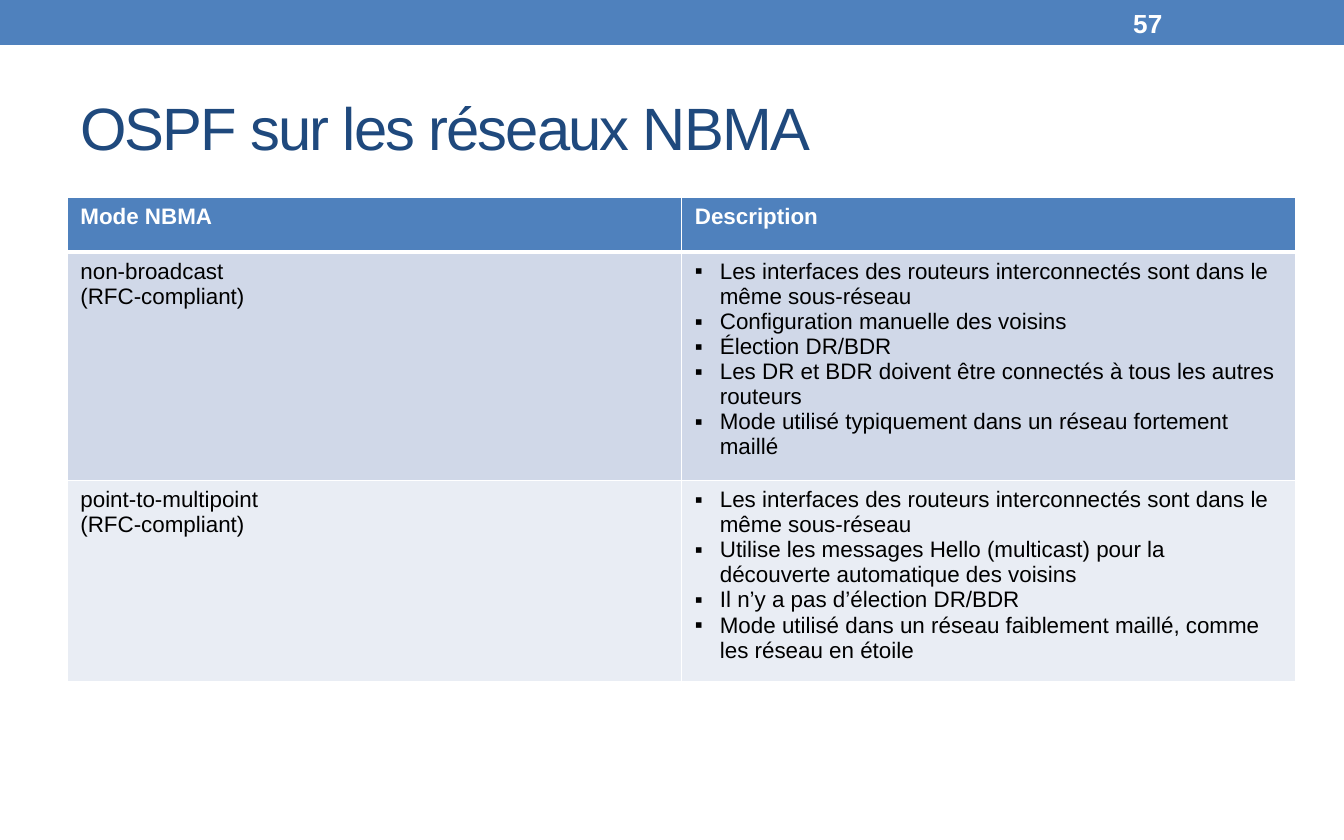
from dataclasses import dataclass

from pptx import Presentation
from pptx.dml.color import RGBColor
from pptx.enum.shapes import MSO_SHAPE as Preset
from pptx.enum.text import MSO_ANCHOR as Anchor
from pptx.oxml import parse_xml
from pptx.oxml.ns import nsdecls
from pptx.util import Pt

EMU_PER_PX = 914400 / 134.4


def px(length: int) -> int:
    return round(length * EMU_PER_PX)


@dataclass(frozen=True)
class Theme:
    font: str = "Arial"
    blue: str = "4F81BD"
    navy: str = "1F497D"
    white: str = "FFFFFF"
    black: str = "000000"
    bands: tuple[str, ...] = ("D0D8E8", "E9EDF4")
    title_size: int = 32
    number_size: int = 14
    table_size: int = 12
    rule: int = 1
    header_rule: int = 3


@dataclass(frozen=True)
class Box:
    left: int
    top: int
    width: int
    height: int

    def emu(self) -> tuple[int, ...]:
        return tuple(px(v) for v in (self.left, self.top, self.width, self.height))


@dataclass(frozen=True)
class Mode:
    names: tuple[str, ...]
    points: tuple[str, ...]


THEME = Theme()
PAGE_WIDTH, PAGE_HEIGHT = 1344, 840
BANNER = Box(0, 0, PAGE_WIDTH, 45)
TITLE = Box(67, 66, 1210, 121)
NUMBER = Box(1120, 3, 157, 40)
ROW_HEIGHT, BULLET_INDENT = 55, 25

HEADERS = ("Mode NBMA", "Description")
SHARED_SUBNET = "Les interfaces des routeurs interconnectés sont dans le même sous-réseau"
MODES = (
    Mode(("non-broadcast", "(RFC-compliant)"), (
        SHARED_SUBNET,
        "Configuration manuelle des voisins",
        "Élection DR/BDR",
        "Les DR et BDR doivent être connectés à tous les autres routeurs",
        "Mode utilisé typiquement dans un réseau fortement maillé",
    )),
    Mode(("point-to-multipoint", "(RFC-compliant)"), (
        SHARED_SUBNET,
        "Utilise les messages Hello (multicast) pour la découverte automatique des voisins",
        "Il n’y a pas d’élection DR/BDR",
        "Mode utilisé dans un réseau faiblement maillé, comme les réseau en étoile",
    )),
)
TABLE = Box(67, 197, 1229, ROW_HEIGHT * (len(MODES) + 1))


def write(frame, lines: tuple[str, ...], size: int, color: str, bold: bool = False) -> None:
    """Put one paragraph per line into a text frame."""
    formats = {"name": THEME.font, "size": Pt(size), "bold": bold}
    for index, line in enumerate(lines):
        para = frame.add_paragraph() if index else frame.paragraphs[0]
        span = para.add_run()
        span.text = line
        for name, value in formats.items():
            setattr(span.font, name, value)
        span.font.color.rgb = RGBColor.from_string(color)


def add_label(page, box: Box, text: str, size: int, color: str, bold: bool = False):
    frame = page.shapes.add_textbox(*box.emu()).text_frame
    for name, value in {"word_wrap": True, "vertical_anchor": Anchor.MIDDLE}.items():
        setattr(frame, name, value)
    write(frame, (text,), size, color, bold)
    return frame


def add_bullets(frame) -> None:
    for para in frame.paragraphs:
        props = para._p.get_or_add_pPr()
        for name, value in {"marL": px(BULLET_INDENT), "indent": -px(BULLET_INDENT)}.items():
            props.set(name, str(value))
        props.append(parse_xml(f'<a:buFont {nsdecls("a")} typeface="{THEME.font}"/>'))
        props.append(parse_xml(f'<a:buChar {nsdecls("a")} char="▪"/>'))


def paint_cell(cell, fill: str, top: int, bottom: int) -> None:
    """Fill a cell and rule its four sides; widths are in points."""
    cell.fill.solid()
    cell.fill.fore_color.rgb = RGBColor.from_string(fill)
    props = cell._tc.get_or_add_tcPr()
    sides = {"lnL": THEME.rule, "lnR": THEME.rule, "lnT": top, "lnB": bottom}
    for index, (side, width) in enumerate(sides.items()):
        props.insert(index, parse_xml(
            f'<a:{side} {nsdecls("a")} w="{Pt(width)}"><a:solidFill>'
            f'<a:srgbClr val="{THEME.white}"/></a:solidFill></a:{side}>'))


def add_modes_table(page) -> None:
    table = page.shapes.add_table(len(MODES) + 1, len(HEADERS), *TABLE.emu()).table

    # Header row
    for column, header in enumerate(HEADERS):
        cell = table.cell(0, column)
        write(cell.text_frame, (header,), THEME.table_size, THEME.white, bold=True)
        paint_cell(cell, THEME.blue, THEME.rule, THEME.header_rule)

    # One row per mode, growing with its text
    for row, (mode, band) in enumerate(zip(MODES, THEME.bands), start=1):
        top = THEME.header_rule if row == 1 else THEME.rule
        for column, lines in enumerate((mode.names, mode.points)):
            cell = table.cell(row, column)
            write(cell.text_frame, lines, THEME.table_size, THEME.black)
            paint_cell(cell, band, top, THEME.rule)
        add_bullets(table.cell(row, 1).text_frame)


def main() -> None:
    deck = Presentation()
    deck.slide_width, deck.slide_height = px(PAGE_WIDTH), px(PAGE_HEIGHT)
    page = deck.slides.add_slide(deck.slide_layouts[6])

    # Top banner
    banner = page.shapes.add_shape(Preset.RECTANGLE, *BANNER.emu())
    banner.shadow.inherit = False
    banner.fill.solid()
    banner.fill.fore_color.rgb = RGBColor.from_string(THEME.blue)
    banner.line.fill.background()

    # Title with tightened letter spacing
    title = add_label(page, TITLE, "OSPF sur les réseaux NBMA", THEME.title_size, THEME.navy)
    title.paragraphs[0].runs[0].font._element.set("spc", "-100")

    # Table and page number
    add_modes_table(page)
    add_label(page, NUMBER, "57", THEME.number_size, THEME.white, bold=True)

    deck.save("out.pptx")


if __name__ == "__main__":
    main()
